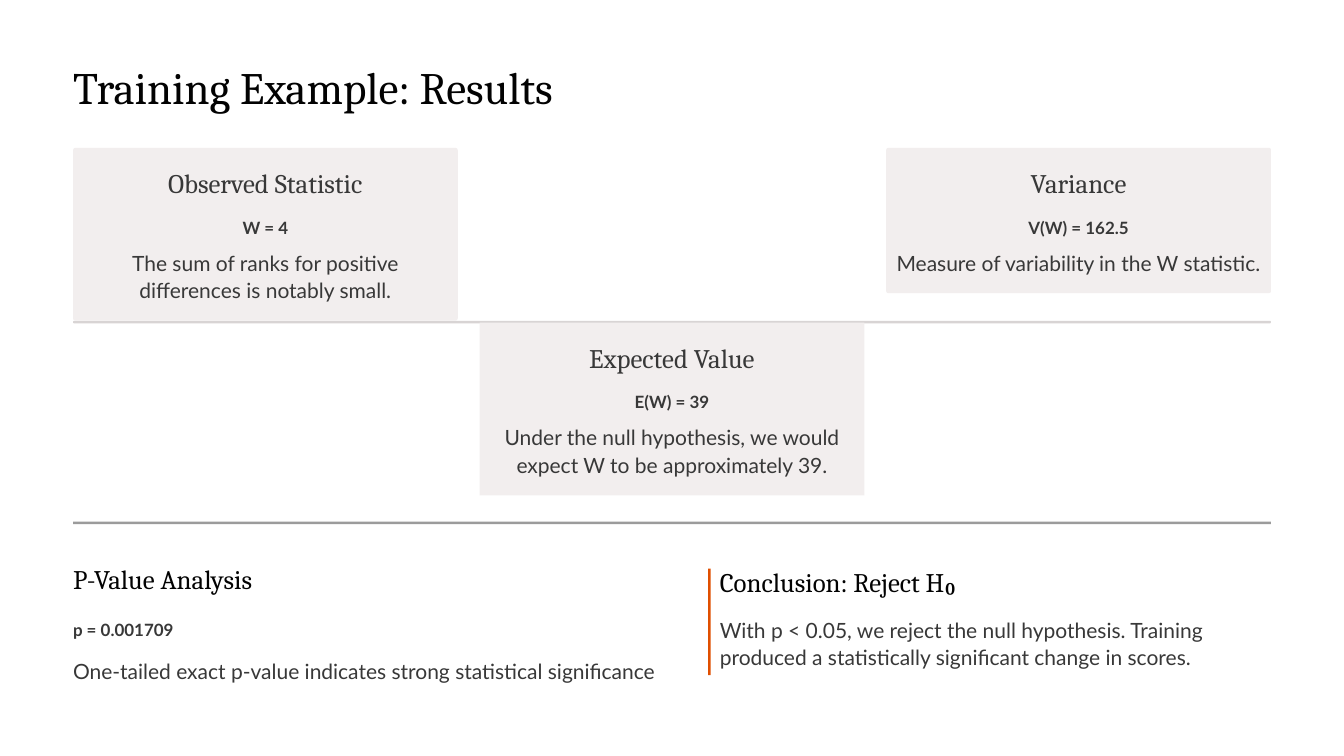
"""Build the slide with the results of the training example."""
from lxml import etree
from pptx import Presentation
from pptx.dml.color import RGBColor
from pptx.enum.shapes import MSO_SHAPE
from pptx.enum.text import MSO_ANCHOR, MSO_AUTO_SIZE, PP_ALIGN
from pptx.oxml.ns import qn
from pptx.util import Pt

RECTANGLE, ROUNDED = MSO_SHAPE.RECTANGLE, MSO_SHAPE.ROUNDED_RECTANGLE
TOP, NO_AUTOFIT = MSO_ANCHOR.TOP, MSO_AUTO_SIZE.NONE
LEFT, CENTER = PP_ALIGN.LEFT, PP_ALIGN.CENTER

BLACK, GRAY = "020202", "383838"
TITLE = ("Cambria", 38.5, 48.5, BLACK, False)
CARD_HEADING = ("Cambria", 23, 29, GRAY, False)
HEADING = ("Cambria", 23, 29, BLACK, False)
VALUE = ("Lato", 14.5, 23.5, GRAY, True)
BODY = ("Lato", 18, 23.5, GRAY, False)

MARGIN, CONTENT_WIDTH = 62.6, 1026.8
CARD_WIDTH, CARD_PITCH = 329.8, 348.5


def add_block(kind, left, top, width, height, color):
    shape = slide.shapes.add_shape(kind, Pt(left), Pt(top), Pt(width), Pt(height))
    shape.shadow.inherit = False
    shape.fill.solid()
    shape.fill.fore_color.rgb = RGBColor.from_string(color)
    shape.line.fill.background()
    return shape


def write_text(text, left, top, width, height, style, alignment=LEFT, wrap=False, shape=None):
    shape = shape or slide.shapes.add_textbox(0, 0, 0, 0)
    shape.left, shape.top, shape.width, shape.height = Pt(left), Pt(top), Pt(width), Pt(height)
    frame = shape.text_frame
    frame.margin_left = frame.margin_top = frame.margin_right = frame.margin_bottom = 0
    frame.auto_size, frame.vertical_anchor, frame.word_wrap = NO_AUTOFIT, TOP, wrap
    name, size, spacing, color, bold = style
    paragraph = frame.paragraphs[0]
    paragraph.alignment, paragraph.line_spacing = alignment, Pt(spacing)
    run = paragraph.add_run()
    run.text = text
    run.font.name, run.font.size, run.font.bold = name, Pt(size), bold
    run.font.color.rgb = RGBColor.from_string(color)


presentation = Presentation()
presentation.slide_width, presentation.slide_height = Pt(1152), Pt(648)
slide = presentation.slides.add_slide(presentation.slide_layouts[5])
slide.background.fill.solid()
slide.background.fill.fore_color.rgb = RGBColor.from_string("FFFFFF")

write_text("Training Example: Results", MARGIN, 49, 455, 49, TITLE, shape=slide.shapes.title)

axis = add_block(ROUNDED, MARGIN, 275, CONTENT_WIDTH, 2.2, "D8D4D4")
axis.adjustments[0] = 0.5

cards = [
    ("Observed Statistic", "W = 4",
     "The sum of ranks for positive differences is notably small.", ROUNDED, 126.7, 2),
    ("Expected Value", "E(W) = 39",
     "Under the null hypothesis, we would expect W to be approximately 39.", RECTANGLE, 276.5, 2),
    ("Variance", "V(W) = 162.5",
     "Measure of variability in the W statistic.", ROUNDED, 126.7, 1),
]
for index, (heading, value, body, kind, top, lines) in enumerate(cards):
    left = MARGIN + index * CARD_PITCH
    card = add_block(kind, left, top, CARD_WIDTH, 101 + 23.6 * lines, "F2EEEE")
    if kind == ROUNDED:
        card.adjustments[0] = 0.015
    write_text(heading, left + 47.9, top + 15.1, 234, 29.5, CARD_HEADING, CENTER)
    write_text(value, left + 14.9, top + 53.3, 300, 23.6, VALUE, CENTER)
    write_text(body, left + 14.9, top + 85.7, 300, 23.6 * lines, BODY, CENTER, lines > 1)

divider = add_block(RECTANGLE, MARGIN, 447.1, CONTENT_WIDTH, 2.2, GRAY)
divider_color = divider.fill._xPr.find(qn("a:solidFill"))[0]
etree.SubElement(divider_color, qn("a:alpha"), val="50000")

write_text("P-Value Analysis", MARGIN, 481, 234, 29.5, HEADING)
write_text("p = 0.001709", MARGIN, 524.9, 495.4, 23.6, VALUE)
write_text("One-tailed exact p-value indicates strong statistical significance",
           MARGIN, 562.3, 495.4, 23.6, BODY)

write_text("Conclusion: Reject H₀", 617, 483.1, 234, 29.5, HEADING)
write_text("With p < 0.05, we reject the null hypothesis. Training produced a "
           "statistically significant change in scores.", 617, 527, 473, 47.2, BODY, wrap=True)
add_block(RECTANGLE, 607, 487.4, 2.2, 91.4, "E04F00")

presentation.save("out.pptx")
